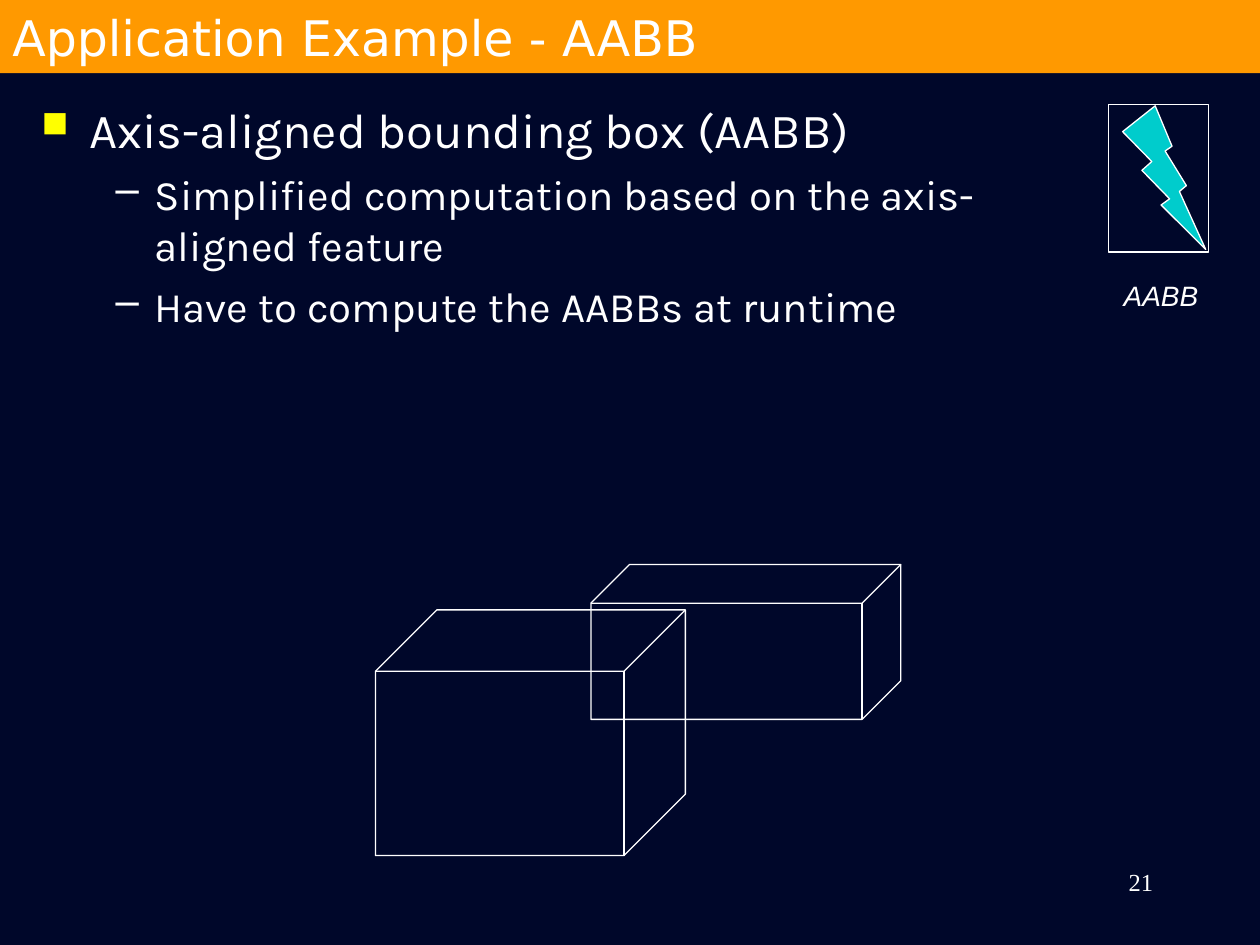
from dataclasses import dataclass

from lxml.etree import SubElement
from pptx import Presentation
from pptx.dml.color import RGBColor as RGB
from pptx.enum.shapes import MSO_SHAPE as Shape
from pptx.enum.text import MSO_ANCHOR as Anchor, MSO_AUTO_SIZE as AutoSize, PP_ALIGN as Align
from pptx.oxml.ns import qn
from pptx.util import Inches, Pt


@dataclass(frozen=True)
class Theme:
    background: RGB = RGB(0x00, 0x07, 0x2A)
    banner: RGB = RGB(0xFF, 0x99, 0x00)
    bolt: RGB = RGB(0x00, 0xCC, 0xCC)
    ink: RGB = RGB(0xFF, 0xFF, 0xFF)
    marker: RGB = RGB(0xFF, 0xFF, 0x00)
    heading_size: int = 28
    detail_size: int = 24
    label_size: int = 16
    number_size: int = 14
    outline: float = 0.75


theme = Theme()
presentation = Presentation()
presentation.slide_width, presentation.slide_height = Inches(10), Inches(7.5)
slide = presentation.slides.add_slide(presentation.slide_layouts[6])
slide.background.fill.solid()
slide.background.fill.fore_color.rgb = theme.background

# Grid of 100 columns by 75 rows, a tenth of an inch each
COLUMN = presentation.slide_width / 100
ROW = presentation.slide_height / 75


def add_figure(kind, left, top, width, height, fill=None, outlined=True):
    """Add a preset shape, placed in grid columns and rows."""
    shape = slide.shapes.add_shape(
        kind, int(left * COLUMN), int(top * ROW), int(width * COLUMN), int(height * ROW))
    shape.shadow.inherit = False
    if fill is None:
        shape.fill.background()
    else:
        shape.fill.solid()
        shape.fill.fore_color.rgb = fill
    if outlined:
        shape.line.color.rgb = theme.ink
        shape.line.width = Pt(theme.outline)
    else:
        shape.line.fill.background()
    return shape


def style_text(paragraph, font_name, size, align=Align.LEFT, italic=False):
    """Format every run of a paragraph."""
    paragraph.alignment = align
    for run in paragraph.runs:
        run.font.name = font_name
        run.font.size = Pt(size)
        run.font.italic = italic
        run.font.color.rgb = theme.ink


# Page number and bounding box label
for left, top, width, height, text, font_name, size, align, italic in (
    (71.7, 68.3, 20.8, 5, "21", "Times New Roman", theme.number_size, Align.RIGHT, False),
    (88.2, 21.6, 7.9, 3.7, "AABB", "Arial", theme.label_size, Align.LEFT, True),
):
    box = slide.shapes.add_textbox(
        int(left * COLUMN), int(top * ROW), int(width * COLUMN), int(height * ROW))
    box.text_frame.text = text
    box.text_frame.word_wrap = not italic
    box.text_frame.auto_size = AutoSize.SHAPE_TO_FIT_TEXT if italic else AutoSize.NONE
    style_text(box.text_frame.paragraphs[0], font_name, size, align, italic)

# Bulleted text: text, level, indent, hang, space before, size, bullet, colour, bullet share
bullets = (
    ("Axis-aligned bounding box (AABB)",
     0, 0.38, 0.38, 0, theme.heading_size, "■", theme.marker, 75),
    ("Simplified computation based on the axis-aligned feature",
     1, 0.9, 0.31, 6, theme.detail_size, "–", theme.ink, 100),
    ("Have to compute the AABBs at runtime",
     1, 0.9, 0.31, 6, theme.detail_size, "–", theme.ink, 100),
)
body = slide.shapes.add_textbox(
    int(2.3 * COLUMN), int(7.4 * ROW), int(81.7 * COLUMN), int(36.5 * ROW))
body.text_frame.word_wrap = True
body.text_frame.text = "\n".join(bullet[0] for bullet in bullets)
for paragraph, bullet in zip(body.text_frame.paragraphs, bullets):
    _, level, indent, hang, space, size, symbol, color, share = bullet
    paragraph.level = level
    paragraph.space_before = Pt(space)
    properties = paragraph._p.get_or_add_pPr()
    properties.set("marL", str(Inches(indent)))
    properties.set("indent", str(-Inches(hang)))
    SubElement(SubElement(properties, qn("a:buClr")), qn("a:srgbClr")).set("val", str(color))
    SubElement(properties, qn("a:buSzPct")).set("val", str(share * 1000))
    SubElement(properties, qn("a:buChar")).set("char", symbol)
    style_text(paragraph, "Karla", size)

# Lightning bolt inside its bounding box
add_figure(Shape.LIGHTNING_BOLT, 89.1, 8.4, 6.6, 11.4, fill=theme.bolt)
add_figure(Shape.RECTANGLE, 88, 8.3, 7.9, 11.7)

# Two overlapping boxes in space
for left, top, height in ((46.9, 44.8, 12.3), (29.8, 48.4, 19.5)):
    cube = add_figure(Shape.CUBE, left, top, 24.6, height)
    cube.adjustments[0] = 0.25

# Title banner
banner = add_figure(Shape.RECTANGLE, 0, 0, 100, 5.8, fill=theme.banner, outlined=False)
banner.text_frame.text = "Application Example - AABB"
banner.text_frame.word_wrap = True
banner.text_frame.vertical_anchor = Anchor.MIDDLE
style_text(banner.text_frame.paragraphs[0], "DejaVu Sans", theme.heading_size)

presentation.save("out.pptx")
